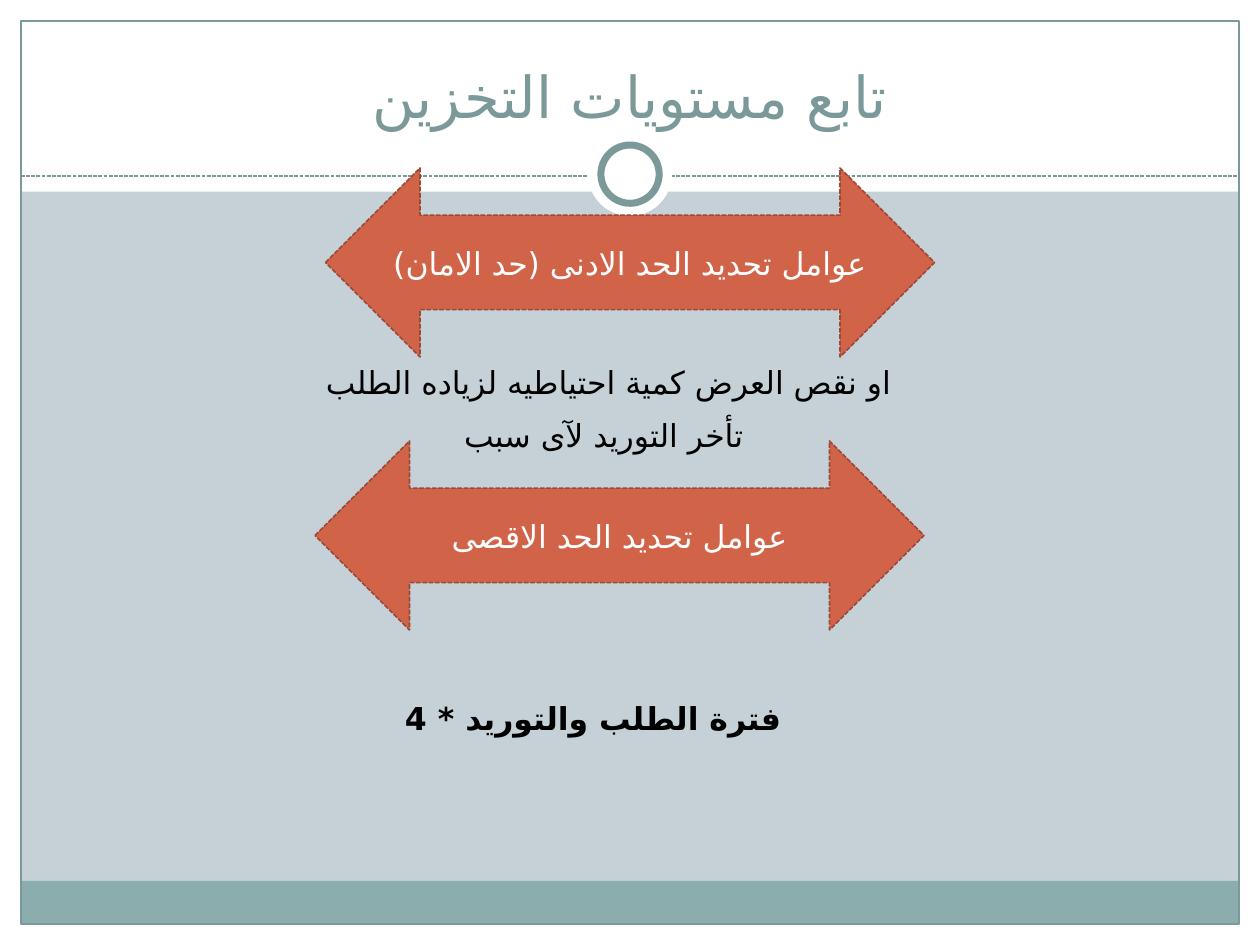
import pptx
import pptx.util
import pptx.dml.color
import pptx.enum.dml
import pptx.enum.shapes
import pptx.enum.text
import pptx.oxml
import pptx.oxml.ns

Pt = pptx.util.Pt
SHAPES = pptx.enum.shapes.MSO_SHAPE
ANCHOR = pptx.enum.text.MSO_ANCHOR
DASH = pptx.enum.dml.MSO_LINE.SQUARE_DOT
FONT = "DejaVu Sans"
COLOURS = {
    "background": "C5D1D7",
    "white": "FFFFFF",
    "black": "000000",
    "frame": "7C999A",
    "footer": "8CADAE",
    "arrow": "D16349",
    "arrow_edge": "9B4936",
}
WIDTH, HEIGHT = 720, 540
MARGIN = 12


def colour(name):
    return pptx.dml.color.RGBColor.from_string(COLOURS[name])


def set_line(line, name, width, dashed=False):
    line.color.rgb = colour(name)
    line.width = Pt(width)
    if dashed:
        line.dash_style = DASH


def add_panel(page, kind, place, fill=None, edge=None, edge_width=0.75, dashed=False):
    panel = page.shapes.add_shape(kind, *map(Pt, place))
    panel.shadow.inherit = False
    if fill:
        panel.fill.solid()
        panel.fill.fore_color.rgb = colour(fill)
    else:
        panel.fill.background()
    if edge:
        set_line(panel.line, edge, edge_width, dashed)
    else:
        panel.line.fill.background()
    return panel


def write_text(shape, text, name, size=18, bold=False, anchor=ANCHOR.TOP, rtl=False):
    frame = shape.text_frame
    frame.word_wrap = True
    frame.vertical_anchor = anchor
    para = frame.paragraphs[0]
    para.alignment = pptx.enum.text.PP_ALIGN.CENTER
    if rtl:
        para._p.get_or_add_pPr().set("rtl", "1")
    span = para.add_run()
    span.text = text
    span.font.name = FONT
    span.font.size = Pt(size)
    span.font.bold = bold
    span.font.color.rgb = colour(name)
    # Arabic letters take the complex-script font
    script_font = pptx.oxml.parse_xml(
        f'<a:cs {pptx.oxml.ns.nsdecls("a")} typeface="{FONT}"/>')
    span.font._element.append(script_font)


def add_label(page, place, text, bold=False):
    box = page.shapes.add_textbox(*map(Pt, place))
    write_text(box, text, "black", bold=bold)
    box.text_frame.auto_size = pptx.enum.text.MSO_AUTO_SIZE.SHAPE_TO_FIT_TEXT


def add_arrow(page, left, top, text):
    arrow = add_panel(page, SHAPES.LEFT_RIGHT_ARROW, (left, top, 348, 108),
                      "arrow", "arrow_edge", 0.9, dashed=True)
    write_text(arrow, text, "white", anchor=ANCHOR.MIDDLE)


def add_divider(page, y):
    divider = page.shapes.add_connector(
        pptx.enum.shapes.MSO_CONNECTOR.STRAIGHT,
        Pt(MARGIN), Pt(y), Pt(WIDTH - MARGIN), Pt(y))
    set_line(divider.line, "frame", 0.75, dashed=True)
    divider._element.spPr.append(
        pptx.oxml.parse_xml(f'<a:effectLst {pptx.oxml.ns.nsdecls("a")}/>'))


def add_circle(page, diameter, edge=None):
    place = (WIDTH / 2 - diameter / 2, 99.5 - diameter / 2, diameter, diameter)
    add_panel(page, SHAPES.OVAL, place, "white", edge, 4)


def add_frame(page):
    inner_width = WIDTH - 2 * MARGIN
    # White borders and title band
    for place in ((0, HEIGHT - MARGIN, WIDTH, MARGIN), (0, 0, WIDTH, 109.5),
                  (0, 0, MARGIN, HEIGHT), (WIDTH - MARGIN, 0, MARGIN, HEIGHT)):
        add_panel(page, SHAPES.RECTANGLE, place, "white")
    # Footer band and outline
    add_panel(page, SHAPES.RECTANGLE, (MARGIN, 503.3, inner_width, 24.7), "footer")
    add_panel(page, SHAPES.RECTANGLE,
              (MARGIN, MARGIN, inner_width, HEIGHT - 2 * MARGIN), edge="frame")
    # Divider with its ring
    add_divider(page, 100.6)
    add_circle(page, 48)
    add_circle(page, 33.3, "frame")


def main():
    deck = pptx.Presentation()
    deck.slide_width, deck.slide_height = Pt(WIDTH), Pt(HEIGHT)
    page = deck.slides.add_slide(deck.slide_layouts[6])
    page.background.fill.solid()
    page.background.fill.fore_color.rgb = colour("background")
    add_frame(page)

    # Title
    title = page.shapes.add_textbox(Pt(24), Pt(18), Pt(672), Pt(60))
    write_text(title, "تابع مستويات التخزين", "frame", 33,
               anchor=ANCHOR.BOTTOM, rtl=True)

    # Minimum level
    add_arrow(page, 186, 96, "عوامل تحديد الحد الادنى (حد الامان)")
    add_label(page, (126, 204, 438, 29), " او نقص العرض كمية احتياطيه لزياده الطلب")
    add_label(page, (186, 234, 318, 29), "تأخر التوريد لآى سبب")

    # Maximum level
    add_arrow(page, 180, 252, "عوامل تحديد الحد الاقصى")
    add_label(page, (174, 396, 330, 29), "فترة الطلب والتوريد * 4", bold=True)

    deck.save("out.pptx")


if __name__ == "__main__":
    main()
